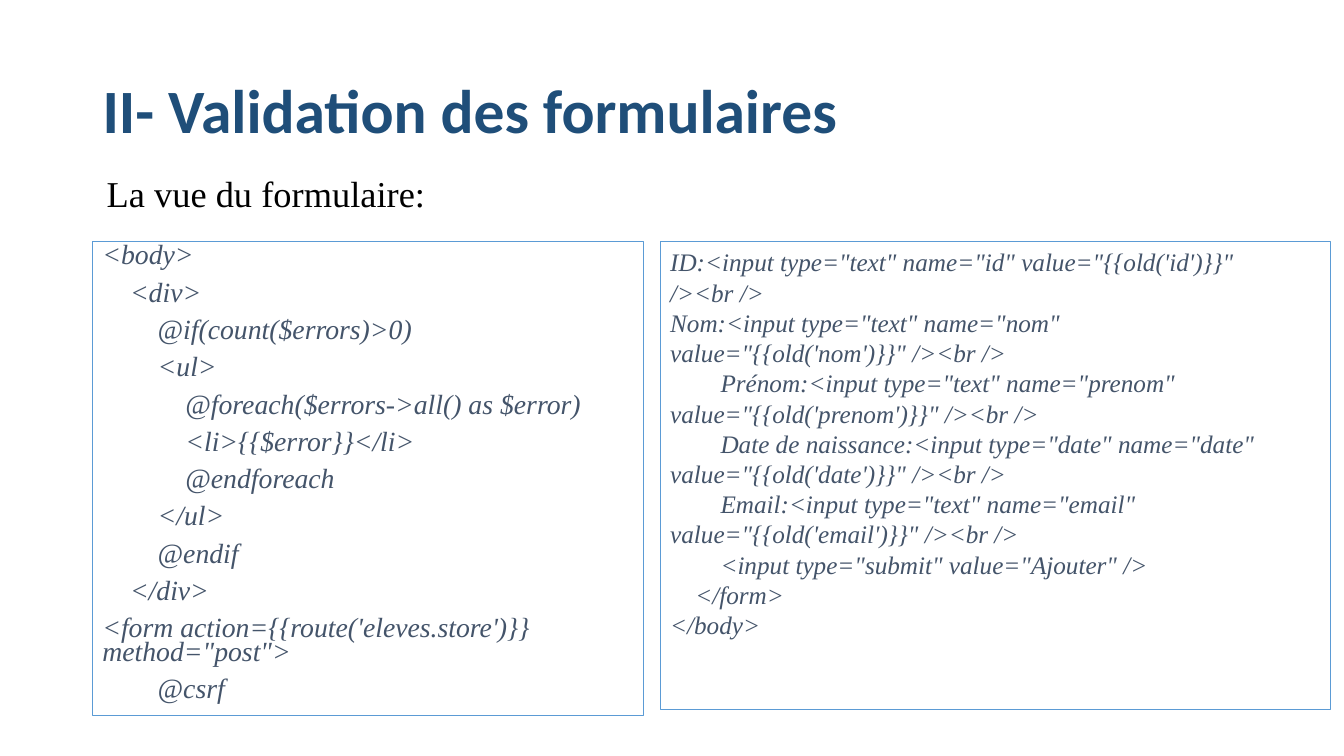
from pptx import Presentation
from pptx import util as u
from pptx.dml.color import RGBColor
from pptx.enum import shapes, text

HUES = {"title": "1F4E79", "code": "44546A", "edge": "5B9BD5", "black": "000000"}
SERIF = "Times New Roman"

LEFT = """<body>
    <div>
        @if(count($errors)>0)
        <ul>
            @foreach($errors->all() as $error)
            <li>{{$error}}</li>
            @endforeach
        </ul>
        @endif
    </div>
<form action={{route('eleves.store')}} method="post">
        @csrf"""

RIGHT = """ID:<input type="text" name="id" value="{{old('id')}}" /><br />
Nom:<input type="text" name="nom" value="{{old('nom')}}" /><br />
        Prénom:<input type="text" name="prenom" value="{{old('prenom')}}" /><br />
        Date de naissance:<input type="date" name="date" value="{{old('date')}}" /><br />
        Email:<input type="text" name="email" value="{{old('email')}}" /><br />
        <input type="submit" value="Ajouter" />
    </form>
</body>"""


def style(para, face, size, hue):
    para.alignment = text.PP_ALIGN.LEFT
    para.font.name = face
    para.font.size = u.Pt(size)
    para.font.color.rgb = RGBColor.from_string(HUES[hue])


deck = Presentation()
deck.slide_width, deck.slide_height = u.Cm(33.87), u.Cm(19.05)
slide = deck.slides.add_slide(deck.slide_layouts[5])

# Title
title = slide.shapes.title
title.left, title.top = u.Cm(2.33), u.Cm(1.01)
title.width, title.height = u.Cm(29.21), u.Cm(3.68)
frame = title.text_frame
frame.text = "II- Validation des formulaires"
frame.auto_size = text.MSO_AUTO_SIZE.NONE
frame.vertical_anchor = text.MSO_ANCHOR.MIDDLE
head = frame.paragraphs[0]
style(head, "Calibri", 44, "title")
head.font.bold = True
head.line_spacing = 0.9

# Code panels: place, code, text size, line spacing, gap between paragraphs
panels = [
    ((2.33, 6.08, 13.88, 11.95), LEFT, 19.8, 0.7, 10),
    ((16.64, 6.09, 16.9, 11.79), RIGHT, 18, 1.0, 0),
]
for place, code, size, pitch, gap in panels:
    panel = slide.shapes.add_shape(shapes.MSO_SHAPE.RECTANGLE, *map(u.Cm, place))
    panel.shadow.inherit = False
    panel.fill.background()
    panel.line.color.rgb = RGBColor.from_string(HUES["edge"])
    panel.line.width = u.Pt(0.75)
    frame = panel.text_frame
    frame.word_wrap = True
    frame.vertical_anchor = text.MSO_ANCHOR.TOP
    for row, line in enumerate(code.split("\n")):
        para = frame.add_paragraph() if row else frame.paragraphs[0]
        para.text = line
        style(para, SERIF, size, "code")
        para.font.italic = True
        para.line_spacing = pitch
        para.space_before = u.Pt(gap if row else 0)

# Subtitle
label = slide.shapes.add_textbox(u.Cm(2.44), u.Cm(4.19), u.Cm(17.3), u.Cm(1.37))
label.text_frame.word_wrap = True
label.text_frame.text = "La vue du formulaire:"
style(label.text_frame.paragraphs[0], SERIF, 26, "black")

deck.save("out.pptx")
